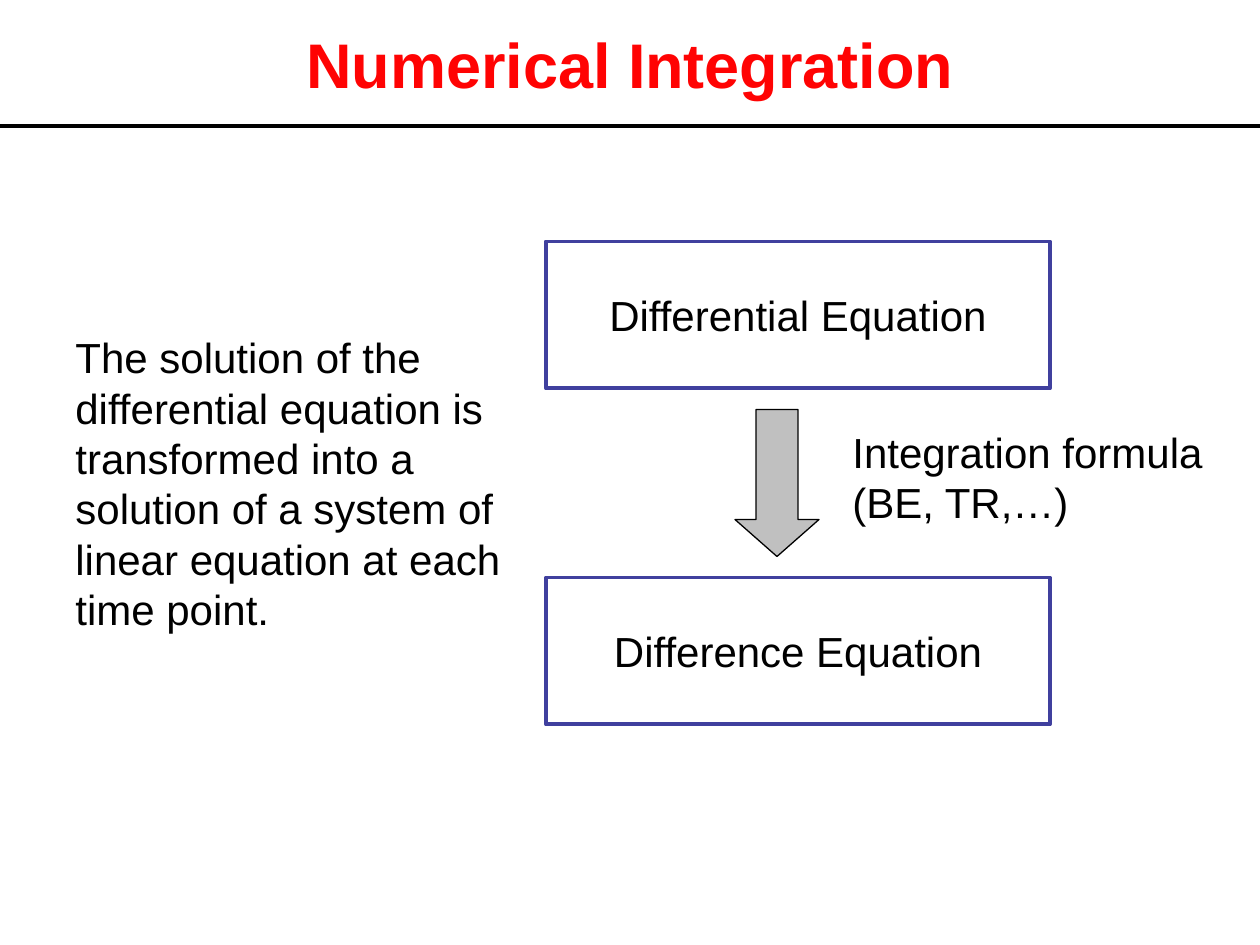
from pptx import Presentation
from pptx.dml.color import RGBColor
from pptx.enum import shapes, text
from pptx.oxml.ns import qn
from pptx.util import Pt
from lxml import etree

TITLE = "Numerical Integration"
EXPLANATION = ("The solution of the differential equation is transformed into "
               "a solution of a system of linear equation at each time point.")
FORMULA = ["Integration formula", "(BE, TR,…)"]
EQUATIONS = ["Differential Equation", "Difference Equation"]

THEME = {
    "font": "Arial", "title_size": 36, "body_size": 24,
    "title": "FF0303", "text": "000000", "rule": "000000",
    "box_fill": "FFFFFF", "box_line": "40409E", "arrow_fill": "C0C0C0",
    "thick": 2.25, "thin": 0.75,
}
SLIDE_WIDTH, SLIDE_HEIGHT = 720, 540
TITLE_HEIGHT = 72
BOX_LEFT, BOX_TOP, BOX_WIDTH, STEP_HEIGHT, STEP_GAP = 312, 138, 288, 84, 12
ARROW_LEFT, ARROW_WIDTH = 420, 48

LEFT, CENTER = text.PP_ALIGN.LEFT, text.PP_ALIGN.CENTER
TOP, MIDDLE = text.MSO_ANCHOR.TOP, text.MSO_ANCHOR.MIDDLE


def set_text(shape, lines, align=LEFT, anchor=TOP, wrap=True, space_before=0,
             size=THEME["body_size"], color=THEME["text"], bold=False):
    frame = shape.text_frame
    frame.word_wrap, frame.vertical_anchor = wrap, anchor
    frame.text = "\n".join(lines)
    font_format = {"name": THEME["font"], "size": Pt(size), "bold": bold}
    for paragraph in frame.paragraphs:
        paragraph.alignment = align
        if space_before:
            paragraph.space_before = Pt(space_before)
        font = paragraph.runs[0].font
        for name, value in font_format.items():
            setattr(font, name, value)
        font.color.rgb = RGBColor.from_string(color)


def add_textbox(slide, bounds, lines, **options):
    shape = slide.shapes.add_textbox(*map(Pt, bounds))
    set_text(shape, lines, **options)
    return shape


def set_line(line, color, width):
    line.color.rgb = RGBColor.from_string(color)
    line.width = Pt(width)


def add_shape(slide, kind, bounds, fill, line, width):
    shape = slide.shapes.add_shape(kind, *map(Pt, bounds))
    shape.shadow.inherit = False
    shape.fill.solid()
    shape.fill.fore_color.rgb = RGBColor.from_string(fill)
    set_line(shape.line, line, width)
    return shape


def add_header(slide):
    add_textbox(slide, (0, 0, SLIDE_WIDTH, TITLE_HEIGHT), [TITLE],
                align=CENTER, anchor=MIDDLE, size=THEME["title_size"],
                color=THEME["title"], bold=True)
    rule = slide.shapes.add_connector(
        shapes.MSO_CONNECTOR.STRAIGHT, Pt(0), Pt(TITLE_HEIGHT),
        Pt(SLIDE_WIDTH), Pt(TITLE_HEIGHT))
    set_line(rule.line, THEME["rule"], THEME["thick"])
    etree.SubElement(rule._element.spPr, qn("a:effectLst"))


def add_flow(slide):
    """Stack the two equation boxes with the arrow between them."""
    box_top, arrow_top, last_top = (
        BOX_TOP + step * (STEP_HEIGHT + STEP_GAP) for step in range(3))
    for equation, top in zip(EQUATIONS, (box_top, last_top)):
        box = add_shape(slide, shapes.MSO_SHAPE.RECTANGLE,
                        (BOX_LEFT, top, BOX_WIDTH, STEP_HEIGHT),
                        THEME["box_fill"], THEME["box_line"], THEME["thick"])
        set_text(box, [equation], align=CENTER, anchor=MIDDLE, wrap=False)
    arrow = add_shape(slide, shapes.MSO_SHAPE.DOWN_ARROW,
                      (ARROW_LEFT, arrow_top, ARROW_WIDTH, STEP_HEIGHT),
                      THEME["arrow_fill"], THEME["rule"], THEME["thin"])
    arrow.adjustments[0] = 0.5
    arrow.adjustments[1] = 0.44


def main():
    presentation = Presentation()
    presentation.slide_width = Pt(SLIDE_WIDTH)
    presentation.slide_height = Pt(SLIDE_HEIGHT)
    slide = presentation.slides.add_slide(presentation.slide_layouts[6])
    add_header(slide)
    add_flow(slide)
    notes = [
        ((480, 240, 214.5, 65), FORMULA, {"wrap": False}),
        ((36, 186, 264, 180), [EXPLANATION], {"space_before": 15}),
    ]
    for bounds, lines, options in notes:
        label = add_textbox(slide, bounds, lines, **options)
        label.text_frame.auto_size = text.MSO_AUTO_SIZE.SHAPE_TO_FIT_TEXT
    presentation.save("out.pptx")


if __name__ == "__main__":
    main()
